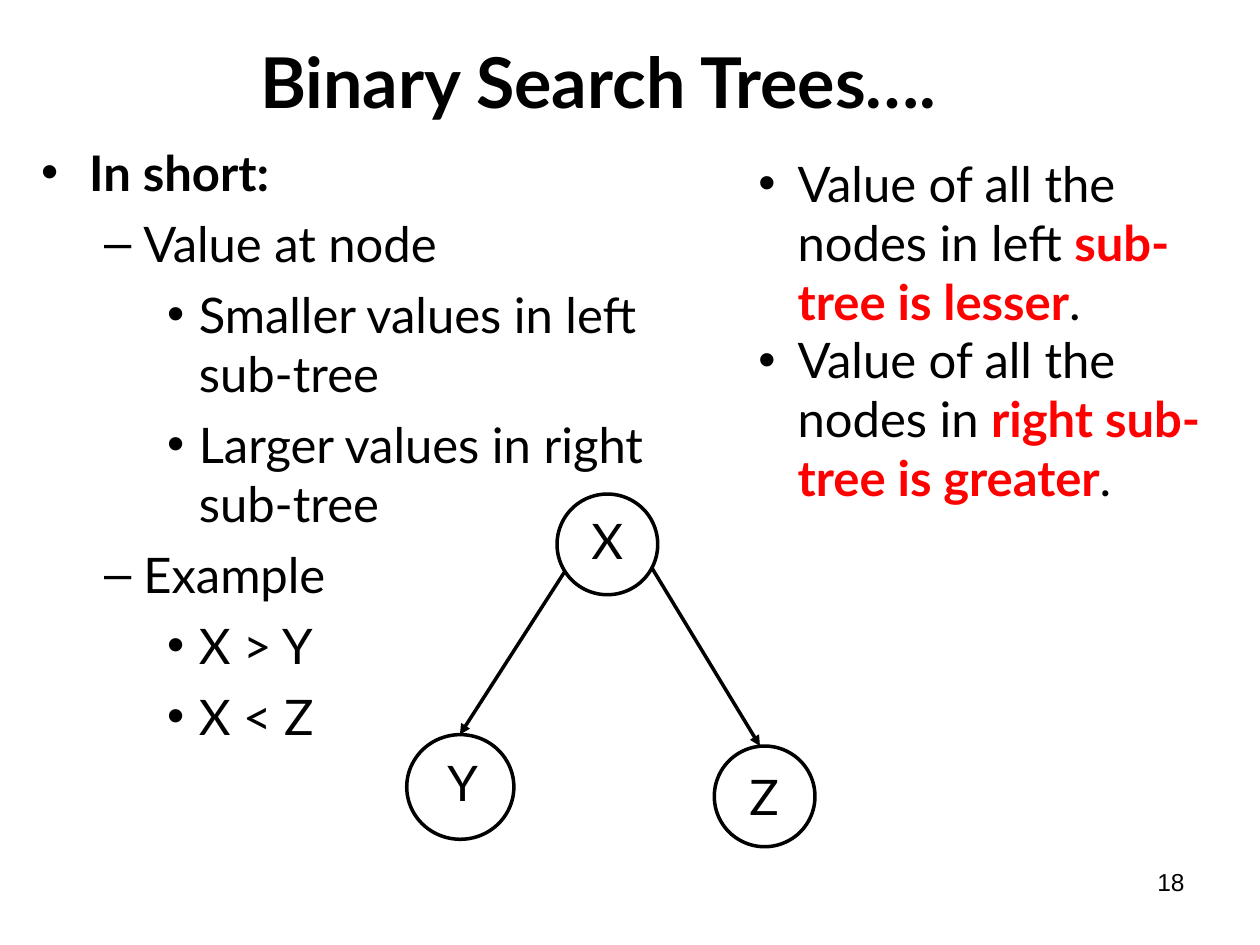
from lxml.etree import SubElement
from pptx import Presentation
from pptx.dml.color import RGBColor
from pptx.enum.shapes import MSO_CONNECTOR as Connector, MSO_SHAPE as Shape
from pptx.enum.text import MSO_ANCHOR as Anchor, PP_ALIGN as Align
from pptx.oxml.ns import qn
from pptx.util import Cm, Pt

BLACK = RGBColor(0, 0, 0)
RED = RGBColor(255, 0, 0)
BULLETS = [("•", 0.97, 0.97), ("–", 2.06, 0.79), ("•", 3.18, 0.64)]
RULE_BULLET = ("•", 0.79, 0.79)


class TreeSlide:
    text_format = {"name": "Lato", "size": Pt(28), "bold": False}
    line_width = Pt(2)

    def __init__(self, page):
        self.page = page

    def text(self, place, paragraphs, align=Align.LEFT, anchor=Anchor.TOP, gap=0, **changes):
        box = self.page.shapes.add_textbox(*map(Cm, place))
        frame = box.text_frame
        frame.word_wrap = True
        frame.vertical_anchor = anchor
        for index, (spans, level, bullet) in enumerate(paragraphs):
            para = frame.paragraphs[0] if index == 0 else frame.add_paragraph()
            para.alignment = align
            para.level = level
            para.space_before = Pt(gap if index else 0)
            if bullet:
                self.bullet(para, *bullet)
            for words, emphasis in spans:
                self.span(para, words, {**changes, **emphasis})

    def bullet(self, para, mark, margin, hanging):
        properties = para._p.get_or_add_pPr()
        properties.set("marL", str(Cm(margin)))
        properties.set("indent", str(-Cm(hanging)))
        SubElement(properties, qn("a:buFont"), typeface="Arial")
        SubElement(properties, qn("a:buChar"), char=mark)

    def span(self, para, words, changes):
        span = para.add_run()
        span.text = words
        values = {**self.text_format, **changes}
        span.font.color.rgb = values.pop("color", BLACK)
        for name, value in values.items():
            setattr(span.font, name, value)

    def label(self, place, words, align=Align.CENTER, **changes):
        self.text(place, [([(words, {})], 0, None)], align, **changes)

    def circle(self, place):
        node = self.page.shapes.add_shape(Shape.OVAL, *map(Cm, place))
        node.shadow.inherit = False
        node.fill.background()
        node.line.color.rgb = BLACK
        node.line.width = self.line_width

    def arrow(self, *ends):
        edge = self.page.shapes.add_connector(Connector.STRAIGHT, *map(Cm, ends))
        edge.line.color.rgb = BLACK
        edge.line.width = self.line_width
        SubElement(edge.line._get_or_add_ln(), qn("a:tailEnd"), type="triangle")
        SubElement(edge._element.spPr, qn("a:effectLst"))


def main():
    deck = Presentation()
    deck.slide_width, deck.slide_height = Cm(25.4), Cm(19.05)
    slide = TreeSlide(deck.slides.add_slide(deck.slide_layouts[6]))

    slide.label((3.81, 0.64, 16.51, 1.98), "Binary Search Trees….",
                anchor=Anchor.MIDDLE, size=Pt(40), bold=True)

    outline = [
        (0, "In short:"),
        (1, "Value at node"),
        (2, "Smaller values in left sub-tree"),
        (2, "Larger values in right sub-tree"),
        (1, "Example"),
        (2, "X > Y"),
        (2, "X < Z"),
    ]
    slide.text((0.58, 2.74, 12.83, 12.7),
               [([(words, {"bold": level == 0})], level, BULLETS[level])
                for level, words in outline], gap=7)

    nodes = [
        ("X", (11.23, 9.96, 2.03, 2.03), (11.3, 10.16, 1.88, 1.45)),
        ("Y", (8.2, 14.81, 2.16, 2.11), (8.46, 15.04, 1.73, 1.45)),
        ("Z", (14.4, 15.04, 2.03, 2.03), (14.4, 15.32, 2.01, 1.45)),
    ]
    for name, circle, label in nodes:
        slide.circle(circle)
        slide.label(label, name)
    slide.arrow(13.13, 11.43, 15.32, 15.04)
    slide.arrow(11.38, 11.53, 9.27, 14.81)

    strong = {"color": RED, "bold": True}
    rules = [
        ("Value of all the nodes in left ", "sub-tree is lesser"),
        ("Value of all the nodes in ", "right sub-tree is greater"),
    ]
    slide.text((15.04, 2.97, 9.93, 8.56),
               [([(start, {}), (point, strong), (".", {})], 0, RULE_BULLET)
                for start, point in rules])

    slide.label((18.21, 17.35, 5.92, 1.32), "18", Align.RIGHT, name="Arial", size=Pt(14))
    deck.save("out.pptx")


if __name__ == "__main__":
    main()
